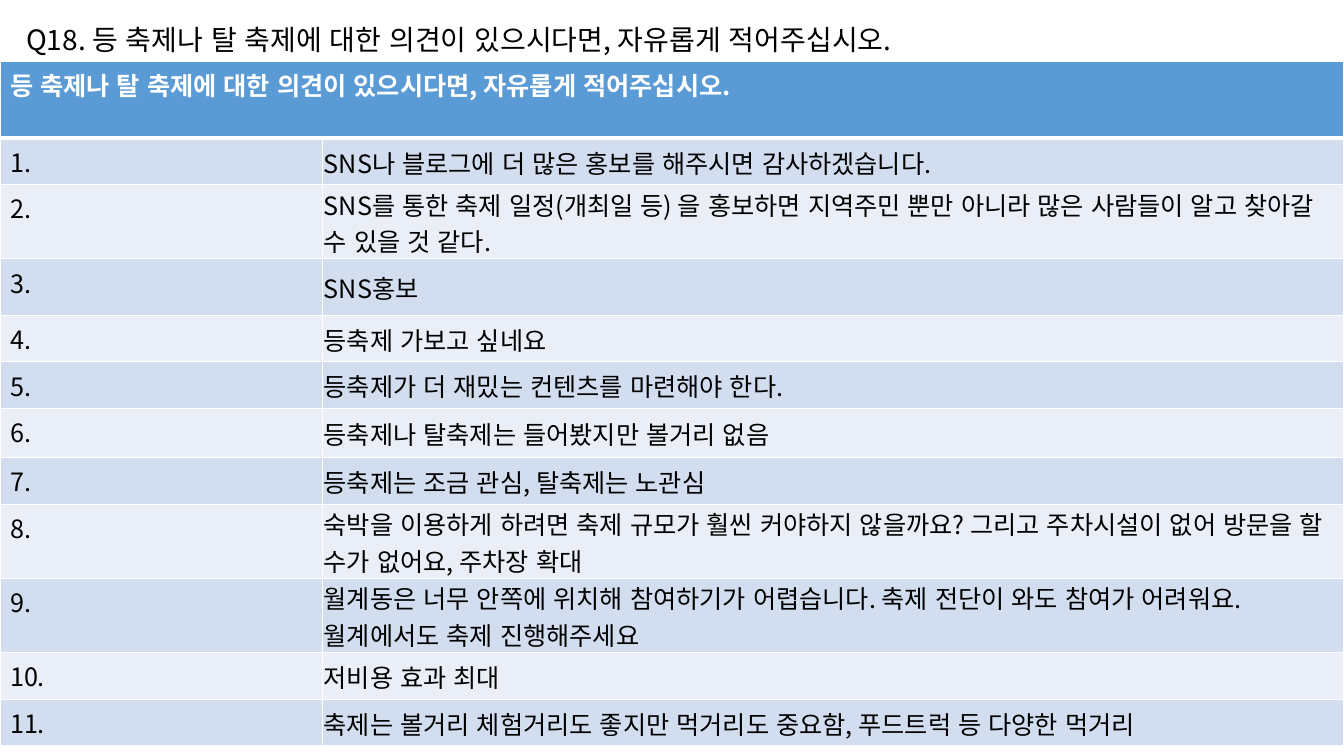
from dataclasses import dataclass

import lxml.etree
import pptx
import pptx.dml.color
import pptx.enum.lang
import pptx.enum.text
import pptx.oxml
import pptx.oxml.ns
import pptx.util

Cm = pptx.util.Cm
Pt = pptx.util.Pt
qn = pptx.oxml.ns.qn
RGB = pptx.dml.color.RGBColor.from_string


@dataclass(frozen=True)
class Theme:
    font: str = "Noto Sans CJK KR"
    ink: str = "000000"
    white: str = "FFFFFF"
    header: str = "5B9BD5"
    bands: tuple = ("D2DEEF", "EAEFF7")
    question_size: int = 20
    table_size: int = 18
    rule: int = 1
    header_rule: int = 3


theme = Theme()


def write(frame, text, size=theme.table_size, color=theme.ink, bold=False):
    run = frame.paragraphs[0].add_run()
    run.text = text
    run.font.size = Pt(size)
    run.font.bold = bold
    run.font.name = theme.font
    run.font.language_id = pptx.enum.lang.MSO_LANGUAGE_ID.KOREAN
    run.font.color.rgb = RGB(color)
    east_asian = lxml.etree.SubElement(run.font._element, qn("a:ea"))
    east_asian.set("typeface", theme.font)


def paint(cell, fill, top=theme.rule, bottom=theme.rule):
    """Fill a cell and draw its four white borders, widths in points."""
    cell.fill.solid()
    cell.fill.fore_color.rgb = RGB(fill)
    properties = cell._tc.get_or_add_tcPr()
    sides = {"lnL": theme.rule, "lnR": theme.rule, "lnT": top, "lnB": bottom}
    for place, (side, width) in enumerate(sides.items()):
        line = lxml.etree.Element(qn(f"a:{side}"), w=str(int(Pt(width))))
        solid = lxml.etree.SubElement(line, qn("a:solidFill"))
        lxml.etree.SubElement(solid, qn("a:srgbClr"), val=theme.white)
        properties.insert(place, line)


question = "등 축제나 탈 축제에 대한 의견이 있으시다면, 자유롭게 적어주십시오."
# Each opinion with the height of its row in centimetres
opinions = [
    ("SNS나 블로그에 더 많은 홍보를 해주시면 감사하겠습니다.", 1.12),
    ("SNS를 통한 축제 일정(개최일 등) 을 홍보하면 지역주민 뿐만 아니라 "
     "많은 사람들이 알고 찾아갈 수 있을 것 같다.", 1.68),
    ("SNS홍보", 1.42),
    ("등축제 가보고 싶네요", 1.12),
    ("등축제가 더 재밌는 컨텐츠를 마련해야 한다.", 1.12),
    ("등축제나 탈축제는 들어봤지만 볼거리 없음", 1.24),
    ("등축제는 조금 관심, 탈축제는 노관심", 1.12),
    ("숙박을 이용하게 하려면 축제 규모가 훨씬 커야하지 않을까요? "
     "그리고 주차시설이 없어 방문을 할 수가 없어요, 주차장 확대", 1.12),
    ("월계동은 너무 안쪽에 위치해 참여하기가 어렵습니다. "
     "축제 전단이 와도 참여가 어려워요. 월계에서도 축제 진행해주세요", 1.12),
    ("저비용 효과 최대", 1.12),
    ("축제는 볼거리 체험거리도 좋지만 먹거리도 중요함, 푸드트럭 등 다양한 먹거리", 1.12),
]
header_height = 1.93

presentation = pptx.Presentation()
presentation.slide_width = Cm(33.87)
presentation.slide_height = Cm(19.05)
slide = presentation.slides.add_slide(presentation.slide_layouts[6])

table_height = header_height + sum(height for _, height in opinions)
answers = slide.shapes.add_table(
    len(opinions) + 1, 2, Cm(0), Cm(1.55), Cm(33.87), Cm(table_height)
).table
answers.columns[0].width = Cm(8.13)
answers.columns[1].width = Cm(25.74)

answers.rows[0].height = Cm(header_height)
for header_cell in answers.rows[0].cells:
    paint(header_cell, theme.header, bottom=theme.header_rule)
answers.cell(0, 0).merge(answers.cell(0, 1))
write(answers.cell(0, 0).text_frame, question, color=theme.white, bold=True)

for number, (opinion, height) in enumerate(opinions, start=1):
    answers.rows[number].height = Cm(height)
    number_cell, opinion_cell = answers.rows[number].cells
    for cell in (number_cell, opinion_cell):
        paint(cell, theme.bands[(number - 1) % 2],
              top=theme.header_rule if number == 1 else theme.rule)
    write(number_cell.text_frame, f"{number}.")
    write(opinion_cell.text_frame, opinion)
    opinion_cell.vertical_anchor = pptx.enum.text.MSO_ANCHOR.MIDDLE
    opinion_cell.margin_left = opinion_cell.margin_right = Cm(0.03)
    opinion_cell.margin_top = Cm(0.03)
    opinion_cell.margin_bottom = Cm(0)

question_box = slide.shapes.add_textbox(Cm(0.41), Cm(0.43), Cm(24.36), Cm(1.12))
question_box.text_frame.word_wrap = False
question_box.text_frame.auto_size = pptx.enum.text.MSO_AUTO_SIZE.SHAPE_TO_FIT_TEXT
write(question_box.text_frame, f"Q18. {question}", size=theme.question_size)

presentation.save("out.pptx")
